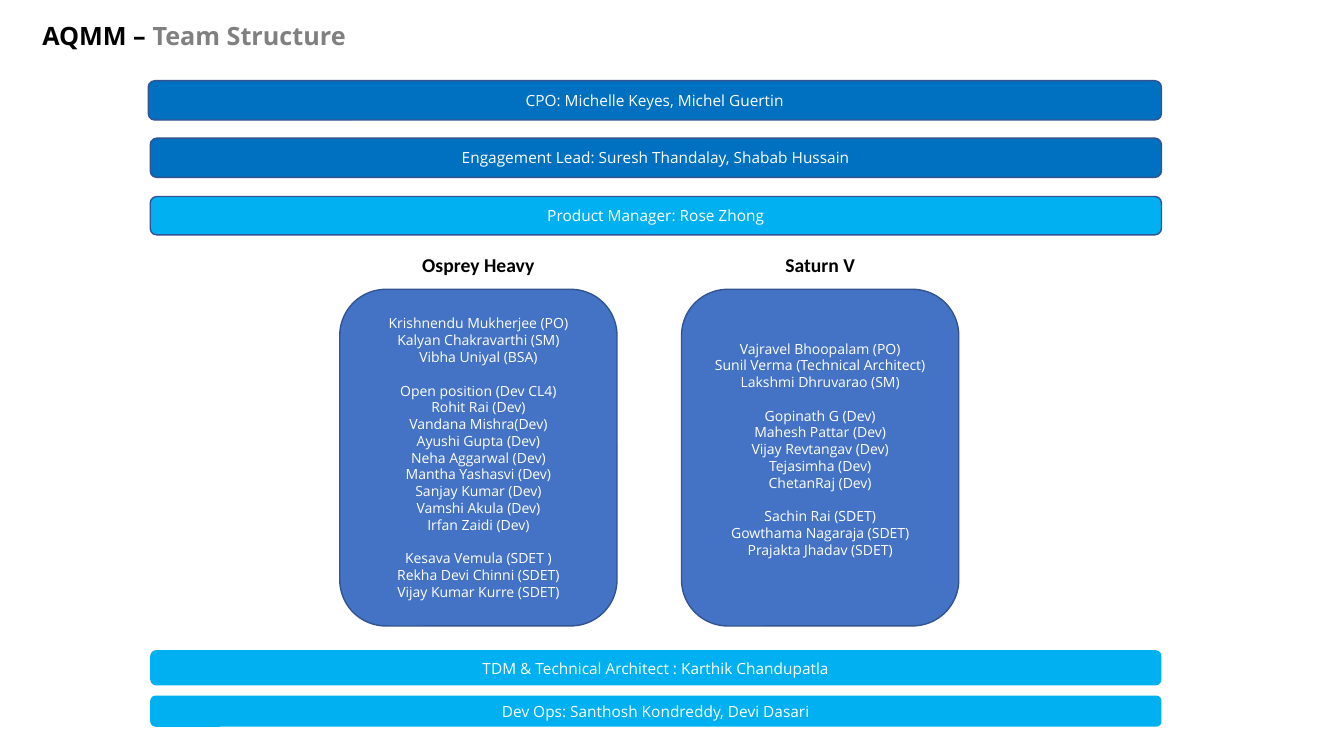
from dataclasses import dataclass

import pptx
import pptx.dml.color
import pptx.enum.shapes
import pptx.enum.text
import pptx.util
from pptx.shapes.autoshape import Shape
from pptx.slide import Slide
from pptx.text.text import TextFrame

COLOURS = {
    "lead": "0070C0",
    "support": "00B0F0",
    "crew": "4472C4",
    "edge": "325491",
    "light": "FFFFFF",
    "dark": "000000",
    "muted": "808080",
}
SLIDE_WIDTH = pptx.util.Inches(13.33)
SLIDE_HEIGHT = pptx.util.Inches(7.5)
CENTRE = pptx.enum.text.PP_ALIGN.CENTER
CREW_LINE = pptx.util.Pt(12)

# Lengths below are percentages of the slide's width and height.
BAR_LEFT, BAR_RIGHT = 11.18, 86.42
CREW_LEFT, CREW_STEP, CREW_WIDTH = 25.28, 25.43, 20.63
CREW_TOP, CREW_HEIGHT = 38.27, 44.53
HEADING_INDENT, HEADING_TOP, HEADING_HEIGHT = 0.45, 32.8, 4.53


@dataclass(frozen=True)
class Area:
    left: float
    top: float
    width: float
    height: float

    def emu(self) -> tuple[int, int, int, int]:
        return (
            round(SLIDE_WIDTH * self.left / 100),
            round(SLIDE_HEIGHT * self.top / 100),
            round(SLIDE_WIDTH * self.width / 100),
            round(SLIDE_HEIGHT * self.height / 100),
        )


@dataclass(frozen=True)
class RoleBar:
    text: str
    top: float
    height: float
    fill: str
    left: float = BAR_LEFT
    outlined: bool = True
    line_spacing: float = 1.0


@dataclass(frozen=True)
class Crew:
    name: str
    groups: list[list[str]]
    spare_lines_below: int = 0


ROLE_BARS = [
    RoleBar("CPO: Michelle Keyes, Michel Guertin", 10.67, 5.2, "lead", left=11.03),
    RoleBar("Engagement Lead: Suresh Thandalay, Shabab Hussain", 18.27, 5.2, "lead"),
    RoleBar("Product Manager: Rose Zhong", 26, 5.07, "support"),
    RoleBar("TDM & Technical Architect : Karthik Chandupatla", 86, 4.67, "support",
            outlined=False, line_spacing=1.06),
    RoleBar("Dev Ops: Santhosh Kondreddy, Devi Dasari", 92, 4.13, "support",
            outlined=False, line_spacing=1.06),
]

CREWS = [
    Crew("Osprey Heavy", [
        ["Krishnendu Mukherjee (PO)", "Kalyan Chakravarthi (SM)", "Vibha Uniyal (BSA)"],
        ["Open position (Dev CL4)", "Rohit Rai (Dev)", "Vandana Mishra(Dev)",
         "Ayushi Gupta (Dev)", "Neha Aggarwal (Dev)", "Mantha Yashasvi (Dev)",
         "Sanjay Kumar (Dev)", "Vamshi Akula (Dev)", "Irfan Zaidi (Dev)"],
        ["Kesava Vemula (SDET )", "Rekha Devi Chinni (SDET)", "Vijay Kumar Kurre (SDET)"],
    ]),
    Crew("Saturn V", [
        ["Vajravel Bhoopalam (PO)", "Sunil Verma (Technical Architect)",
         "Lakshmi Dhruvarao (SM)"],
        ["Gopinath G (Dev)", "Mahesh Pattar (Dev)", "Vijay Revtangav (Dev)",
         "Tejasimha (Dev)", "ChetanRaj (Dev)"],
        ["Sachin Rai (SDET)", "Gowthama Nagaraja (SDET)", "Prajakta Jhadav (SDET)"],
    ], spare_lines_below=1),
]


def rgb(name: str) -> pptx.dml.color.RGBColor:
    return pptx.dml.color.RGBColor.from_string(COLOURS[name])


def add_run(paragraph, text: str, size: float, colour: str,
            bold: bool = False, font: str = "Open Sans") -> None:
    run = paragraph.add_run()
    run.text = text
    run.font.name = font
    run.font.size = pptx.util.Pt(size)
    run.font.bold = bold
    run.font.color.rgb = rgb(colour)


def set_insets(frame: TextFrame, inset: int) -> None:
    frame.margin_left = frame.margin_right = inset
    frame.margin_top = frame.margin_bottom = inset


def add_panel(slide: Slide, area: Area, fill: str, outlined: bool = True) -> Shape:
    """Draw a rounded panel ready for vertically centred text."""
    panel = slide.shapes.add_shape(
        pptx.enum.shapes.MSO_SHAPE.ROUNDED_RECTANGLE, *area.emu())
    panel.shadow.inherit = False
    panel.fill.solid()
    panel.fill.fore_color.rgb = rgb(fill)
    if outlined:
        panel.line.color.rgb = rgb("edge")
        panel.line.width = pptx.util.Pt(1)
    else:
        panel.line.fill.background()
    panel.text_frame.word_wrap = True
    panel.text_frame.vertical_anchor = pptx.enum.text.MSO_ANCHOR.MIDDLE
    return panel


def add_title(slide: Slide) -> None:
    frame = slide.shapes.add_textbox(*Area(3.15, 2.53, 92.35, 4.93).emu()).text_frame
    frame.word_wrap = True
    frame.vertical_anchor = pptx.enum.text.MSO_ANCHOR.MIDDLE
    set_insets(frame, 0)
    title = frame.paragraphs[0]
    title.line_spacing = 0.9
    add_run(title, "AQMM – ", 18, "dark", bold=True)
    add_run(title, "Team Structure", 18, "muted", bold=True)


def add_role_bar(slide: Slide, bar: RoleBar) -> None:
    area = Area(bar.left, bar.top, BAR_RIGHT - bar.left, bar.height)
    frame = add_panel(slide, area, bar.fill, bar.outlined).text_frame
    if not bar.outlined:
        set_insets(frame, pptx.util.Inches(0.05))
    role = frame.paragraphs[0]
    role.alignment = CENTRE
    role.line_spacing = bar.line_spacing
    add_run(role, bar.text, 11, "light")


def add_crew(slide: Slide, crew: Crew, column: int) -> None:
    left = CREW_LEFT + column * CREW_STEP
    heading_area = Area(left + HEADING_INDENT, HEADING_TOP,
                        CREW_WIDTH - 2 * HEADING_INDENT, HEADING_HEIGHT)
    heading_frame = slide.shapes.add_textbox(*heading_area.emu()).text_frame
    heading_frame.word_wrap = True
    heading = heading_frame.paragraphs[0]
    heading.alignment = CENTRE
    add_run(heading, crew.name, 14, "dark", bold=True, font="Calibri")

    frame = add_panel(
        slide, Area(left, CREW_TOP, CREW_WIDTH, CREW_HEIGHT), "crew").text_frame
    frame.margin_bottom += crew.spare_lines_below * CREW_LINE
    for group_index, group in enumerate(crew.groups):
        for member_index, name in enumerate(group):
            first_of_all = group_index == member_index == 0
            member = frame.paragraphs[0] if first_of_all else frame.add_paragraph()
            member.alignment = CENTRE
            member.line_spacing = CREW_LINE
            if group_index > 0 and member_index == 0:
                member.space_before = CREW_LINE
            add_run(member, name, 10, "light")


def main() -> None:
    deck = pptx.Presentation()
    deck.slide_width = SLIDE_WIDTH
    deck.slide_height = SLIDE_HEIGHT
    slide = deck.slides.add_slide(deck.slide_layouts[6])
    add_title(slide)
    for bar in ROLE_BARS:
        add_role_bar(slide, bar)
    for column, crew in enumerate(CREWS):
        add_crew(slide, crew, column)
    deck.save("out.pptx")


if __name__ == "__main__":
    main()
